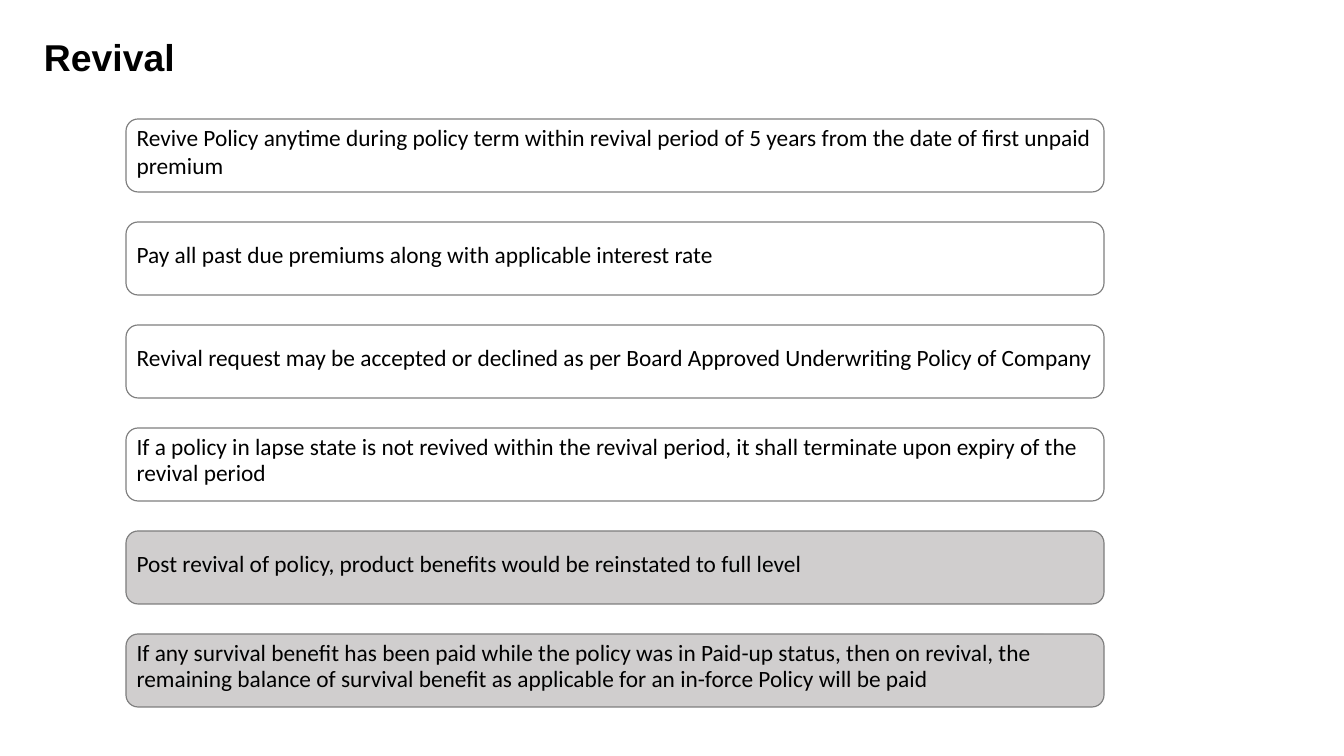
from pptx import Presentation
from pptx.dml.color import RGBColor
from pptx.enum.shapes import MSO_SHAPE
from pptx.enum.text import MSO_ANCHOR, PP_ALIGN
from pptx.util import Emu, Pt


def px(length):
    return Emu(length * 914400 // 84)


def style_run(run, font_name, size, bold=False):
    run.font.name = font_name
    run.font.size = Pt(size)
    run.font.bold = bold
    run.font.color.rgb = RGBColor.from_string("000000")


presentation = Presentation()
presentation.slide_width = px(1344)
presentation.slide_height = px(756)
slide = presentation.slides.add_slide(presentation.slide_layouts[6])

# Title
title = slide.shapes.add_textbox(px(44), px(34), px(868), px(44))
title_frame = title.text_frame
title_frame.word_wrap = True
title_frame.margin_left = title_frame.margin_right = 0
title_frame.margin_top = title_frame.margin_bottom = 0
title_frame.text = "Revival"
style_run(title_frame.paragraphs[0].runs[0], "Arial", 32, bold=True)

# Revival rules: text, fill colour, exact line spacing in points
rules = [
    ("Revive Policy anytime during policy term within revival period of 5 years "
     "from the date of first unpaid premium", None, None),
    ("Pay all past due premiums along with applicable interest rate", None, None),
    ("Revival request may be accepted or declined as per Board Approved "
     "Underwriting Policy of Company", None, None),
    ("If a policy in lapse state is not revived within the revival period, "
     "it shall terminate upon expiry of the revival period", None, 21.6),
    ("Post revival of policy, product benefits would be reinstated to full level",
     "D0CECE", None),
    ("If any survival benefit has been paid while the policy was in Paid-up status, "
     "then on revival, the remaining balance of survival benefit as applicable "
     "for an in-force Policy will be paid", "D0CECE", 21.6),
]
BOX_LEFT, FIRST_TOP, BOX_WIDTH, BOX_HEIGHT, PITCH = 126, 119, 978, 73, 103
CORNER_RADIUS = 12

# Stack of rounded boxes
for index, (text, fill, line_spacing) in enumerate(rules):
    box = slide.shapes.add_shape(
        MSO_SHAPE.ROUNDED_RECTANGLE,
        px(BOX_LEFT), px(FIRST_TOP + index * PITCH), px(BOX_WIDTH), px(BOX_HEIGHT))
    box.adjustments[0] = CORNER_RADIUS / BOX_HEIGHT
    box.shadow.inherit = False
    box.line.color.rgb = RGBColor.from_string("7E7E7E")
    box.line.width = Pt(1)
    if fill:
        box.fill.solid()
        box.fill.fore_color.rgb = RGBColor.from_string(fill)
    else:
        box.fill.background()

    text_frame = box.text_frame
    text_frame.word_wrap = True
    text_frame.vertical_anchor = MSO_ANCHOR.MIDDLE
    # The rounded shape already insets its text by part of the radius
    text_frame.margin_left = px(7)
    text_frame.margin_right = px(5)
    text_frame.margin_top = 0
    text_frame.margin_bottom = px(8)
    text_frame.text = text
    paragraph = text_frame.paragraphs[0]
    paragraph.alignment = PP_ALIGN.LEFT
    if line_spacing:
        paragraph.line_spacing = Pt(line_spacing)
    style_run(paragraph.runs[0], "Calibri", 20)

presentation.save("out.pptx")
